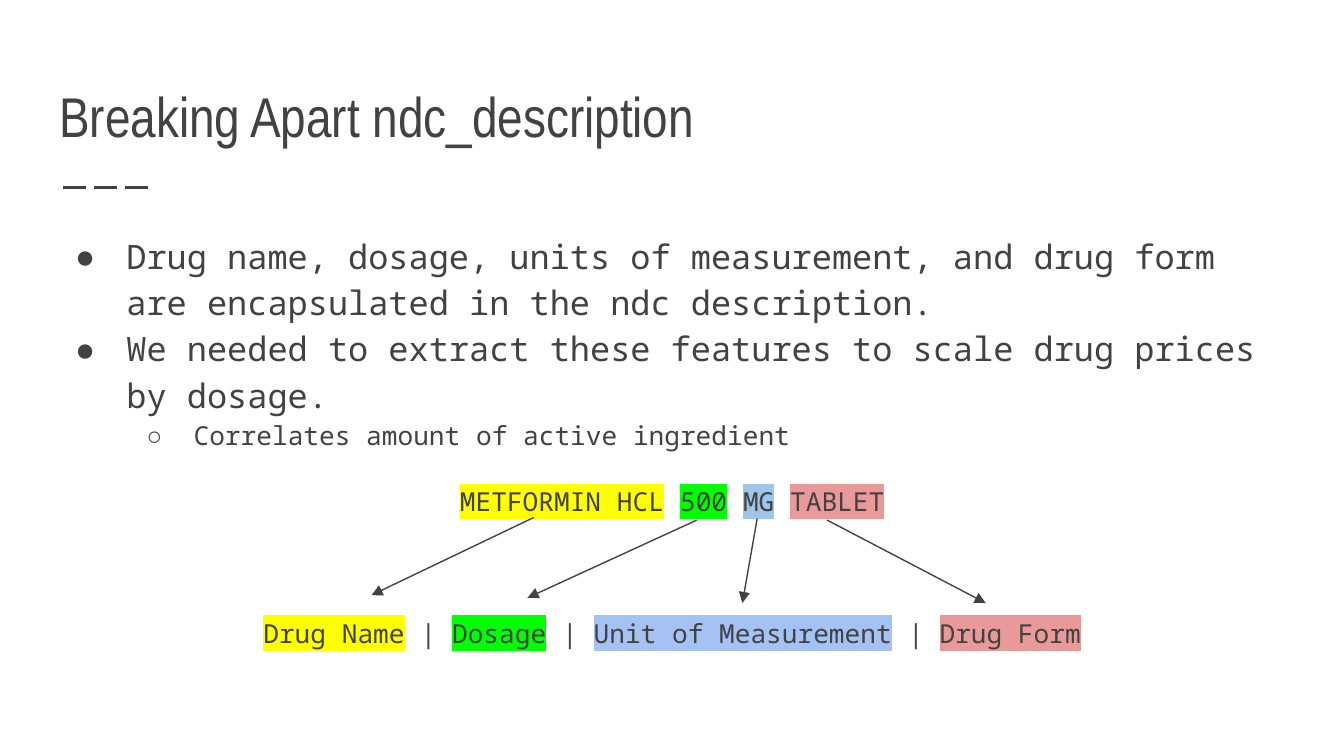
from lxml import etree
from pptx import Presentation
from pptx.dml.color import RGBColor
from pptx.enum.dml import MSO_LINE
from pptx.enum.shapes import MSO_CONNECTOR
from pptx.enum.text import MSO_ANCHOR, PP_ALIGN
from pptx.oxml.ns import qn
from pptx.util import Cm, Pt

STRAIGHT = MSO_CONNECTOR.STRAIGHT
LONG_DASH = MSO_LINE.LONG_DASH
BOTTOM = MSO_ANCHOR.BOTTOM
LEFT, CENTER = PP_ALIGN.LEFT, PP_ALIGN.CENTER
INK = "424242"
YELLOW, GREEN, RED = "FFFF00", "00FF00", "EA9999"
MONO = "Noto Sans Mono"
LINE_SPACING = 1.15

BULLETS = [
    ("Drug name, dosage, units of measurement, and drug form "
     "are encapsulated in the ndc description.", 0),
    ("We needed to extract these features to scale drug prices by dosage.", 0),
    ("Correlates amount of active ingredient", 1),
]
BULLET_STYLES = [("●", 18, 1.27, 0.97), ("○", 14, 2.54, 0.89)]
EXAMPLE = [("METFORMIN HCL", YELLOW), ("500", GREEN),
           ("MG", "9FC5E8"), ("TABLET", RED)]
FEATURES = [("Drug Name", YELLOW), ("Dosage", GREEN),
            ("Unit of Measurement", "A4C2F4"), ("Drug Form", RED)]
ARROWS = [
    ((9.22, 5.69), (6.15, 7.16)),
    ((12.3, 5.74), (9.1, 7.21)),
    ((13.44, 5.71), (13.16, 7.31)),
    ((14.76, 5.74), (17.76, 7.31)),
]


def color(value):
    return RGBColor.from_string(value)


def add_color_element(parent, tag, value):
    holder = etree.SubElement(parent, qn(tag))
    etree.SubElement(holder, qn("a:srgbClr"), val=value)


def style_font(paragraph, name, size):
    font = paragraph.font
    font.name, font.size = name, Pt(size)
    font.color.rgb = color(INK)


def set_frame(frame):
    frame.word_wrap = True
    frame.margin_left = frame.margin_right = Cm(0.25)
    frame.margin_top = frame.margin_bottom = Cm(0.25)


def add_line(slide, start, end, width):
    line = slide.shapes.add_connector(
        STRAIGHT, *(Cm(value) for value in (*start, *end)))
    line.line.color.rgb = color(INK)
    line.line.width = Pt(width)
    etree.SubElement(line._element.spPr, qn("a:effectLst"))
    return line


def add_heading(slide, left, top, width, height):
    title = slide.shapes.title
    title.left, title.top = Cm(left), Cm(top)
    title.width, title.height = Cm(width), Cm(height)
    frame = title.text_frame
    set_frame(frame)
    frame.vertical_anchor = BOTTOM
    frame.text = "Breaking Apart ndc_description"
    heading = frame.paragraphs[0]
    heading.alignment = LEFT
    style_font(heading, "Arial Narrow", 30)
    rule_y = top + height + 0.47
    rule = add_line(slide, (left + 0.33, rule_y), (left + 2.04, rule_y), 1.5)
    rule.line.dash_style = LONG_DASH


def format_bullet(paragraph, text, level):
    mark, size, margin, hang = BULLET_STYLES[level]
    paragraph.text = text
    paragraph.level = level
    properties = paragraph._p.get_or_add_pPr()
    properties.set("marL", str(Cm(margin)))
    properties.set("indent", str(-Cm(hang)))
    add_color_element(properties, "a:buClr", INK)
    etree.SubElement(properties, qn("a:buFont"), typeface=MONO)
    etree.SubElement(properties, qn("a:buChar"), char=mark)
    paragraph.line_spacing = LINE_SPACING
    style_font(paragraph, MONO, size)


def format_highlights(paragraph, parts, separator, space_before):
    for index, (text, highlight) in enumerate(parts):
        if index:
            paragraph.add_run().text = separator
        run = paragraph.add_run()
        run.text = text
        add_color_element(run._r.get_or_add_rPr(), "a:highlight", highlight)
    paragraph.alignment = CENTER
    paragraph.line_spacing = LINE_SPACING
    paragraph.space_before = Pt(space_before)
    style_font(paragraph, MONO, 14)


def add_body(slide, left, top, width, height):
    body = slide.shapes.add_textbox(Cm(left), Cm(top), Cm(width), Cm(height))
    frame = body.text_frame
    set_frame(frame)
    for index, (text, level) in enumerate(BULLETS):
        paragraph = frame.add_paragraph() if index else frame.paragraphs[0]
        format_bullet(paragraph, text, level)
    format_highlights(frame.add_paragraph(), EXAMPLE, " ", 16)
    format_highlights(frame.add_paragraph(), FEATURES, " | ", 51.2)

    for start, end in ARROWS:
        arrow = add_line(slide, (left + start[0], top + start[1]),
                         (left + end[0], top + end[1]), 0.75)
        etree.SubElement(arrow._element.spPr.get_or_add_ln(),
                         qn("a:tailEnd"), type="triangle")


def main():
    presentation = Presentation()
    presentation.slide_width, presentation.slide_height = Cm(25.4), Cm(14.29)
    slide = presentation.slides.add_slide(presentation.slide_layouts[5])
    add_heading(slide, 0.87, 1.04, 23.67, 2.03)
    add_body(slide, 0.87, 4.09, 23.67, 8.61)
    presentation.save("out.pptx")


if __name__ == "__main__":
    main()
